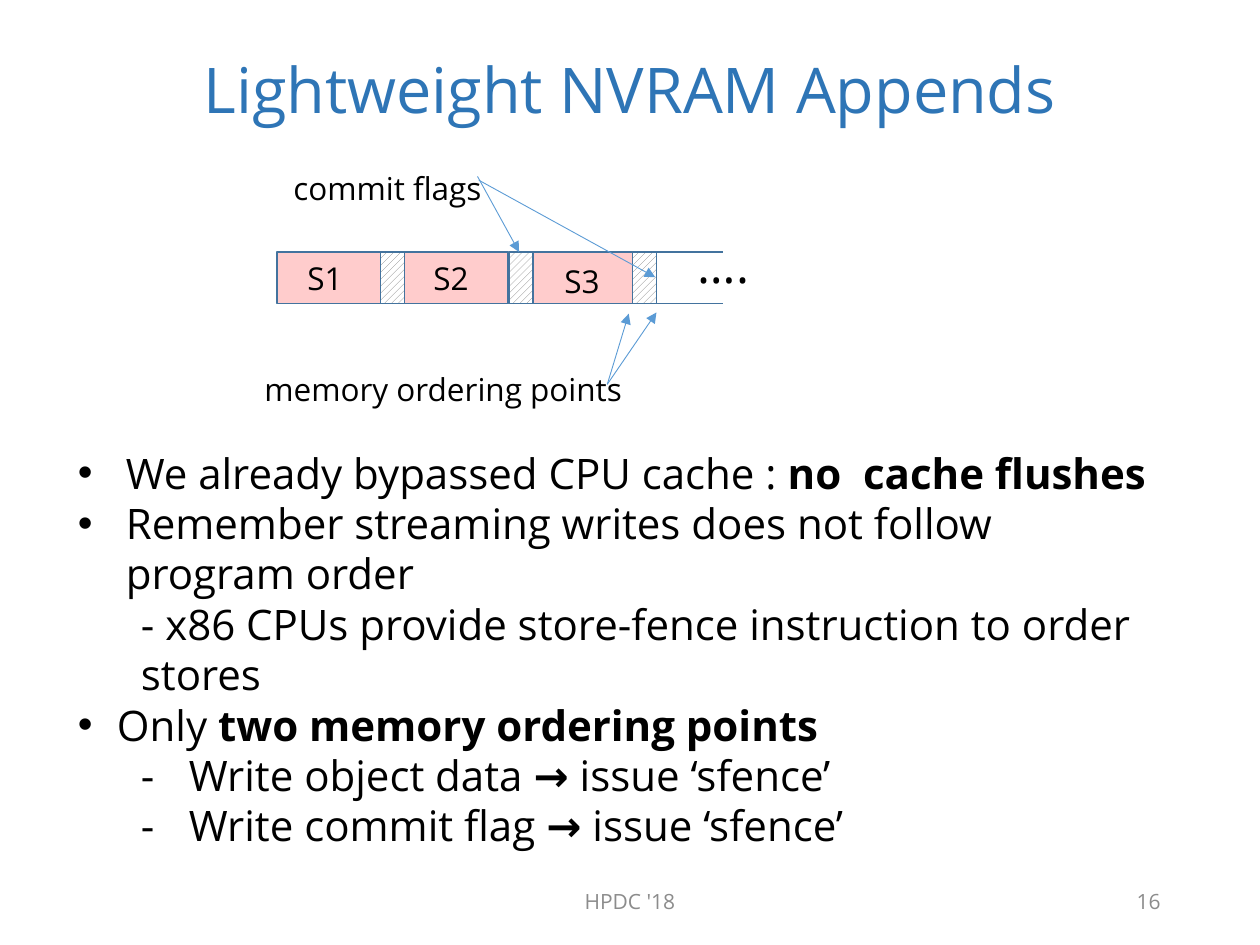
import lxml.etree
import pptx
import pptx.util
import pptx.dml.color
import pptx.enum.dml
import pptx.enum.shapes
import pptx.enum.text
import pptx.oxml.ns

Inches, Pt = pptx.util.Inches, pptx.util.Pt
ALIGN = pptx.enum.text.PP_ALIGN
ANCHOR = pptx.enum.text.MSO_ANCHOR
RECT = pptx.enum.shapes.MSO_SHAPE.RECTANGLE

FONT = "Open Sans"
BLACK, WHITE, GRAY = "000000", "FFFFFF", "8C8C8C"
TITLE_BLUE, EDGE, ARROW = "2E75B6", "43739E", "5B9BD5"
PINK, HATCH = "FFCCCC", "808080"

FOOTER = dict(size=12, color=GRAY, anchor=ANCHOR.MIDDLE)
HEADINGS = [
    ("Lightweight NVRAM Appends", (0.69, 0.4, 8.62, 0.68),
     dict(size=36, color=TITLE_BLUE, anchor=ANCHOR.MIDDLE,
          align=ALIGN.CENTER, line_spacing=0.9)),
    ("HPDC '18", (3.31, 6.95, 3.38, 0.4), dict(FOOTER, align=ALIGN.CENTER)),
    ("16", (7.06, 6.95, 2.25, 0.4), dict(FOOTER, align=ALIGN.RIGHT)),
]

# level, left margin, indent, bullet, runs as (text, bold)
BODY_BOX = (0.52, 3.5, 8.78, 3.74)
BODY = [
    (0, 0.38, -0.38, "•", [("We already bypassed CPU cache : ", False),
                           ("no  cache flushes", True)]),
    (0, 0.38, -0.38, "•",
     [("Remember streaming writes does not follow program order", False)]),
    (1, 0.5, 0, None,
     [("- x86 CPUs provide store-fence instruction to order stores", False)]),
    (0, 0.31, -0.31, "•", [("Only ", False),
                           ("two memory ordering points", True)]),
    (1, 0.88, -0.38, "-", [("Write object data ", False), ("→", True),
                           (" issue ‘sfence’", False)]),
    (1, 0.88, -0.38, "-", [("Write commit flag ", False), ("→", True),
                           (" issue ‘sfence’", False)]),
]

LOG_TOP, LOG_HEIGHT = 2.0, 0.41
SEGMENT_WIDTH, FLAG_WIDTH = 0.82, 0.19
SEGMENT_LEFTS = [2.2, 3.21, 4.2, 5.21]
SEGMENT_FILLS = [PINK, PINK, PINK, WHITE]
FLAG_LEFTS = [3.02, 4.04, 5.02]
LOG_END_MASK = (5.74, 1.95, 0.37, 0.47)
ELLIPSIS = ("….", (5.44, 1.81, 0.63, 0.57))

LABELS = [
    ("S1", (2.34, 2.01, 0.61, 0.4)),
    ("S2", (3.34, 2.01, 0.61, 0.4)),
    ("S3", (4.38, 2.03, 0.61, 0.4)),
    ("memory ordering points", (2, 2.89, 3.17, 0.4)),
    ("commit flags", (2.23, 1.29, 1.73, 0.4)),
]
ARROWS = [
    ((4.82, 3.05), (4.99, 2.49)),
    ((4.82, 3.05), (5.21, 2.48)),
    ((3.79, 1.4), (4.12, 2)),
    ((3.8, 1.43), (5.2, 2.2)),
]


def rgb(color):
    return pptx.dml.color.RGBColor.from_string(color)


def add_xml(parent, tag, **attributes):
    lxml.etree.SubElement(parent, pptx.oxml.ns.qn(tag), **attributes)


def add_run(p, text, size, color, bold=False):
    r = p.add_run()
    r.text = text
    for name, value in dict(name=FONT, size=Pt(size), bold=bold).items():
        setattr(r.font, name, value)
    r.font.color.rgb = rgb(color)


def add_box(shapes, box, anchor=ANCHOR.TOP):
    tf = shapes.add_textbox(*map(Inches, box)).text_frame
    tf.word_wrap = True
    tf.vertical_anchor = anchor
    return tf


def add_text(shapes, text, box, size=18, color=BLACK, anchor=ANCHOR.TOP,
             align=ALIGN.LEFT, line_spacing=1.0):
    p = add_box(shapes, box, anchor).paragraphs[0]
    p.alignment = align
    p.line_spacing = line_spacing
    add_run(p, text, size, color)


def add_rect(shapes, box, fill, line=EDGE):
    sp = shapes.add_shape(RECT, *map(Inches, box))
    sp.shadow.inherit = False
    sp.fill.solid()
    sp.fill.fore_color.rgb = rgb(fill)
    if line:
        sp.line.color.rgb = rgb(line)
        sp.line.width = Pt(1)
    else:
        sp.line.fill.background()
    return sp


def add_body(shapes):
    tf = add_box(shapes, BODY_BOX)
    for i, (level, margin, indent, bullet, runs) in enumerate(BODY):
        p = tf.add_paragraph() if i else tf.paragraphs[0]
        p.level = level
        pPr = p._p.get_or_add_pPr()
        pPr.set("marL", str(Inches(margin)))
        pPr.set("indent", str(Inches(indent)))
        if bullet:
            face = FONT if bullet == "-" else "Arial"
            add_xml(pPr, "a:buFont", typeface=face)
            add_xml(pPr, "a:buChar", char=bullet)
        for text, bold in runs:
            add_run(p, text, 24, BLACK, bold)


def add_log(shapes):
    """Group of data segments with hatched commit flags between them."""
    log = shapes.add_group_shape().shapes
    for left, fill in zip(SEGMENT_LEFTS, SEGMENT_FILLS):
        add_rect(log, (left, LOG_TOP, SEGMENT_WIDTH, LOG_HEIGHT), fill)
    add_rect(log, LOG_END_MASK, WHITE, line=None)
    add_text(log, *ELLIPSIS, size=28)
    for left in FLAG_LEFTS:
        sp = add_rect(log, (left, LOG_TOP, FLAG_WIDTH, LOG_HEIGHT), WHITE)
        sp.fill.patterned()
        sp.fill.pattern = pptx.enum.dml.MSO_PATTERN.WIDE_UPWARD_DIAGONAL
        sp.fill.fore_color.rgb = rgb(HATCH)
        sp.fill.back_color.rgb = rgb(WHITE)


def add_arrow(shapes, start, end):
    cx = shapes.add_connector(pptx.enum.shapes.MSO_CONNECTOR.STRAIGHT,
                              *map(Inches, start + end))
    cx.line.color.rgb = rgb(ARROW)
    cx.line.width = Pt(0.5)
    spPr = cx._element.spPr
    add_xml(spPr.find(pptx.oxml.ns.qn("a:ln")), "a:tailEnd", type="triangle")
    add_xml(spPr, "a:effectLst")


def main():
    prs = pptx.Presentation()
    prs.slide_width, prs.slide_height = Inches(10), Inches(7.5)
    shapes = prs.slides.add_slide(prs.slide_layouts[6]).shapes
    for text, box, style in HEADINGS:
        add_text(shapes, text, box, **style)
    add_body(shapes)
    add_log(shapes)
    for text, box in LABELS:
        add_text(shapes, text, box)
    for start, end in ARROWS:
        add_arrow(shapes, start, end)
    prs.save("out.pptx")


if __name__ == "__main__":
    main()
